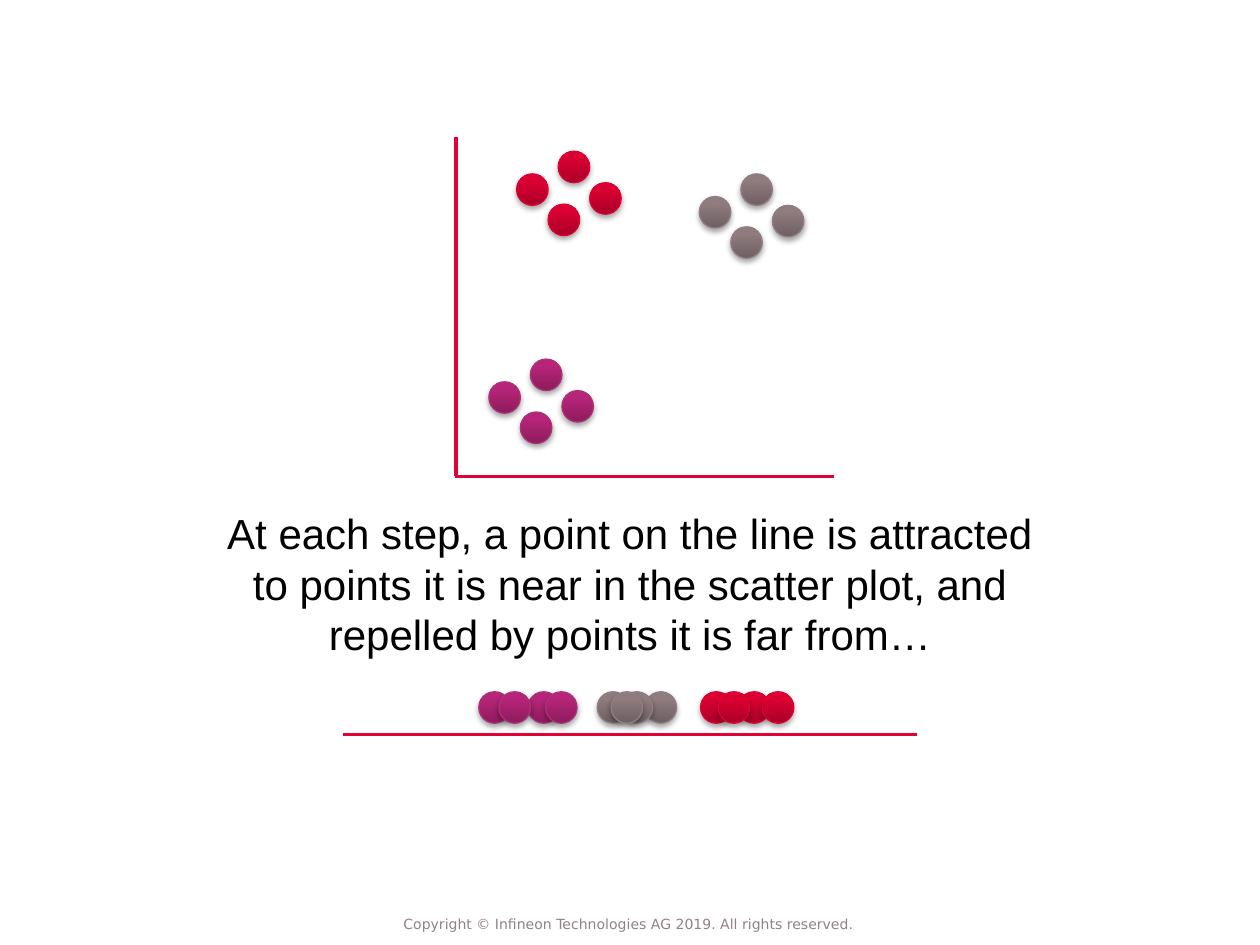
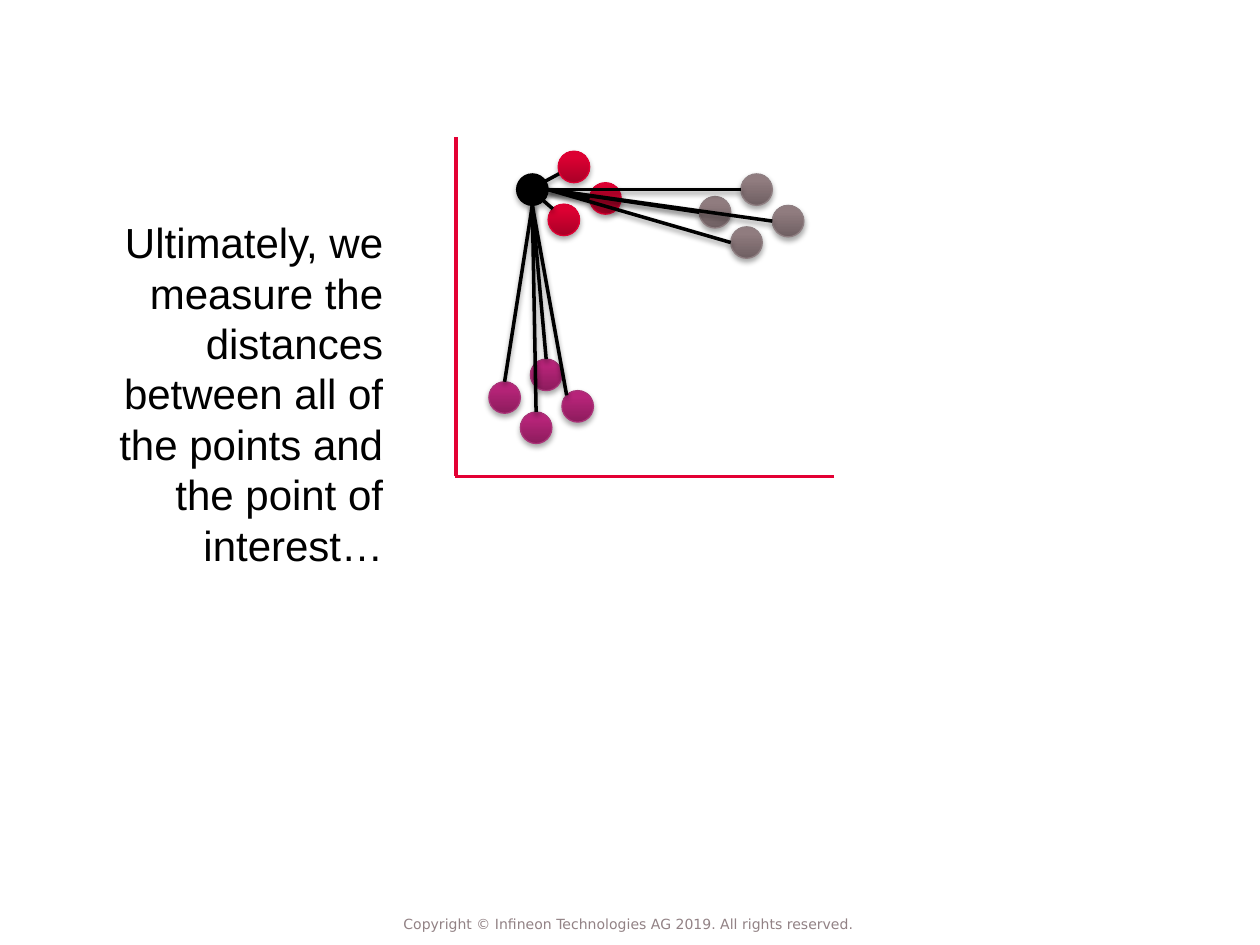
"""Build two slides that explain how points on a line follow a scatter plot."""
import lxml.etree
import pptx
import pptx.dml.color
import pptx.enum.shapes
import pptx.enum.text
import pptx.oxml.ns
import pptx.util

Inches = pptx.util.Inches
Align = pptx.enum.text.PP_ALIGN

COLORS = {"axis": "E30034", "text": "000000", "hub": "000000", "footer": "928285"}
DOT_FILLS = {
    "red": ("A90027", "DC0032", "DD0033"),
    "purple": ("8D1C5D", "B72479", "BA227A"),
    "gray": ("6F5F62", "907C7F", "917C80"),
    "hub": (COLORS["hub"],),
}
DOT_LINES = {"red": "DE0033", "purple": "AA3378", "gray": "8F7F82", "hub": COLORS["hub"]}
STOPS = (0, 0.8, 1)
DIAMETER = 0.25
CLUSTER_STARTS = {"red": (4.1, 1.38), "purple": (3.88, 3.03), "gray": (5.55, 1.56)}
CLUSTER_OFFSETS = ((0, 0), (0.33, -0.18), (0.25, 0.24), (0.58, 0.07))
LINE_LEFTS = {
    "red": (5.86, 6.05, 5.56, 5.7),
    "gray": (5.12, 4.93, 4.74, 4.85),
    "purple": (3.8, 4.19, 3.96, 4.33),
}
SITES = {
    "top": (0, -1), "bottom": (0, 1), "left": (-1, 0), "right": (1, 0),
    "top left": (-0.7, -0.7), "bottom right": (0.7, 0.7),
}
SPOKES = (
    ("bottom", "purple", 0, "top"),
    ("bottom", "purple", 2, "top"),
    ("bottom", "purple", 1, "top"),
    ("bottom", "purple", 3, "top left"),
    ("bottom right", "red", 2, "top left"),
    ("right", "red", 3, "left"),
    ("right", "gray", 1, "left"),
    ("right", "gray", 0, "left"),
    ("right", "gray", 3, "left"),
    ("right", "gray", 2, "left"),
)


def rgb(value):
    """Return the color for a hex string."""
    return pptx.dml.color.RGBColor.from_string(value)


def dot_places(name):
    """Return the corners of the four dots of a cluster."""
    left, top = CLUSTER_STARTS[name]
    return [(left + right, top + down) for right, down in CLUSTER_OFFSETS]


def site(name, index, side):
    """Return a point on the rim of a cluster's dot."""
    left, top = dot_places(name)[index]
    across, down = SITES[side]
    radius = DIAMETER / 2
    return left + radius * (1 + across), top + radius * (1 + down)


class Sketch:
    """Hold the deck, its style and the current page."""

    def __init__(self):
        """Start a deck of 10 by 7.5 inches."""
        self.deck = pptx.Presentation()
        self.deck.slide_width, self.deck.slide_height = Inches(10), Inches(7.5)
        self.page = None

    def new_page(self):
        """Add an empty page."""
        self.page = self.deck.slides.add_slide(self.deck.slide_layouts[6])

    def shadow(self, effects, distance, opacity):
        """Put a soft downward shadow into an effect list."""
        qualify = pptx.oxml.ns.qn
        outer = lxml.etree.SubElement(
            effects, qualify("a:outerShdw"), blurRad="40000", dist=str(distance),
            dir="5400000", rotWithShape="0")
        color = lxml.etree.SubElement(outer, qualify("a:srgbClr"), val="000000")
        lxml.etree.SubElement(color, qualify("a:alpha"), val=str(opacity * 1000))

    def dot(self, shapes, style, left, top):
        """Draw one shaded dot."""
        dot = shapes.add_shape(
            pptx.enum.shapes.MSO_SHAPE.OVAL,
            Inches(left), Inches(top), Inches(DIAMETER), Inches(DIAMETER))
        colors = DOT_FILLS[style]
        if len(colors) == 1:
            dot.fill.solid()
            dot.fill.fore_color.rgb = rgb(colors[0])
        else:
            dot.fill.gradient()
            dot.fill.gradient_angle = 90
            stop_list = dot._element.spPr.find(".//" + pptx.oxml.ns.qn("a:gsLst"))
            lxml.etree.SubElement(stop_list, pptx.oxml.ns.qn("a:gs"), pos="100000")
            for stop, position, color in zip(dot.fill.gradient_stops, STOPS, colors):
                stop.position = position
                stop.color.rgb = rgb(color)
        dot.line.color.rgb = rgb(DOT_LINES[style])
        dot.line.width = pptx.util.Pt(0.75)
        dot.shadow.inherit = False
        self.shadow(dot._element.spPr.find(pptx.oxml.ns.qn("a:effectLst")), 23000, 35)

    def cluster(self, name, first_style):
        """Draw a group of four dots."""
        group = self.page.shapes.add_group_shape()
        for index, (left, top) in enumerate(dot_places(name)):
            self.dot(group.shapes, name if index else first_style, left, top)

    def line(self, start, end, color, shaded=False):
        """Draw a straight line."""
        line = self.page.shapes.add_connector(
            pptx.enum.shapes.MSO_CONNECTOR.STRAIGHT,
            *(Inches(value) for value in (*start, *end)))
        line.line.color.rgb = rgb(COLORS[color])
        line.line.width = pptx.util.Pt(2)
        effects = lxml.etree.SubElement(
            line._element.spPr, pptx.oxml.ns.qn("a:effectLst"))
        if shaded:
            self.shadow(effects, 20000, 38)

    def scatter_plot(self, first_red="red"):
        """Draw the three clusters and the two axes."""
        for name in CLUSTER_STARTS:
            self.cluster(name, first_red if name == "red" else name)
        self.line((6.62, 3.78), (3.61, 3.78), "axis")
        self.line((3.62, 1.09), (3.62, 3.78), "axis")

    def text(self, words, place, align, size=24, font="Arial", color="text"):
        """Add a text box with one paragraph."""
        box = self.page.shapes.add_textbox(*(Inches(value) for value in place))
        box.text_frame.word_wrap = True
        para = box.text_frame.paragraphs[0]
        para.alignment = align
        span = para.add_run()
        span.text = words
        span.font.size = pptx.util.Pt(size)
        span.font.name = font
        span.font.color.rgb = rgb(COLORS[color])
        return box.text_frame

    def caption(self, words, place, align):
        """Add a caption whose box grows with its text."""
        frame = self.text(words, place, align)
        frame.auto_size = pptx.enum.text.MSO_AUTO_SIZE.SHAPE_TO_FIT_TEXT

    def footer(self):
        """Add the copyright line."""
        frame = self.text(
            "Copyright © Infineon Technologies AG 2019. All rights reserved.",
            (2.99, 7.17, 4, 0.33), Align.CENTER, 8, "DejaVu Sans", "footer")
        frame.vertical_anchor = pptx.enum.text.MSO_ANCHOR.MIDDLE
        frame.margin_left = frame.margin_right = 0
        frame.margin_top = frame.margin_bottom = 0


def attraction_page(sketch):
    """Show the scatter plot above the sorted line."""
    sketch.new_page()
    sketch.scatter_plot()
    sketch.line((7.28, 5.83), (2.72, 5.83), "axis")
    for style, lefts in LINE_LEFTS.items():
        for left in lefts:
            sketch.dot(sketch.page.shapes, style, left, 5.49)
    sketch.caption(
        "At each step, a point on the line is attracted to points it is near in the "
        "scatter plot, and repelled by points it is far from…",
        (1.57, 3.98, 6.86, 0.71), Align.CENTER)
    sketch.footer()


def distance_page(sketch):
    """Show the distances from the point of interest."""
    sketch.new_page()
    sketch.line((4.25, 1.48), (4.51, 1.34), "hub", shaded=True)
    sketch.scatter_plot(first_red="hub")
    for hub_side, name, index, side in SPOKES:
        sketch.line(site("red", 0, hub_side), site(name, index, side), "hub", shaded=True)
    sketch.caption(
        "Ultimately, we measure the distances between all of the points and the point "
        "of interest…",
        (0.38, 1.67, 2.76, 1.31), Align.RIGHT)
    sketch.footer()


def main():
    """Build and save the deck."""
    sketch = Sketch()
    attraction_page(sketch)
    distance_page(sketch)
    sketch.deck.save("out.pptx")


if __name__ == "__main__":
    main()
